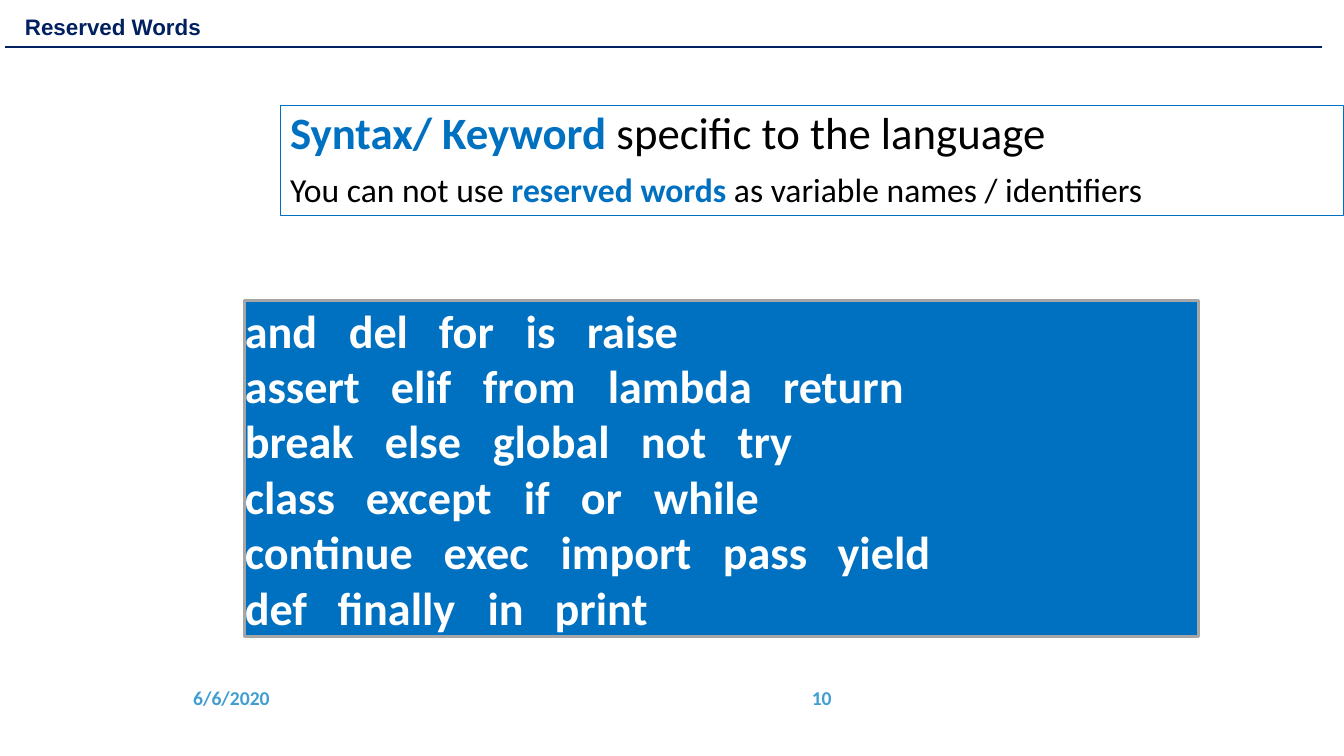
from dataclasses import dataclass

from lxml.etree import SubElement
from pptx import Presentation
from pptx.dml.color import RGBColor
from pptx.enum.shapes import MSO_CONNECTOR as Connector, MSO_SHAPE as Preset
from pptx.enum.text import MSO_ANCHOR as Anchor, PP_ALIGN as Align
from pptx.oxml.ns import qn
from pptx.util import Cm, Pt

BLUE, NAVY, SKY = "0070C0", "002060", "409ED2"
GREY, WHITE, BLACK = "A6A6A6", "FFFFFF", "000000"


@dataclass(frozen=True)
class Span:
    text: str
    color: str
    bold: bool = True


@dataclass(frozen=True)
class Line:
    spans: tuple[Span, ...]
    size: float
    font: str = "Calibri"
    align: Align = Align.LEFT
    spacing: float = 1.0
    before: float = 0
    stops: tuple[float, ...] = ()


@dataclass(frozen=True)
class Panel:
    left: float
    top: float
    width: float
    height: float
    lines: tuple[Line, ...]
    anchor: Anchor = Anchor.MIDDLE
    fill: str | None = None
    border: str | None = None
    border_width: float = 0
    margins: tuple[float, float] = (0.25, 0.13)


KEYWORDS = (
    ("and del for is raise", (2.62, 4.89, 7.08, 8.62)),
    ("assert elif from lambda return", (3.68, 6.0, 9.15, 13.56)),
    ("break else global not try", (3.53, 6.25, 9.98, 12.42)),
    ("class except if or while", (3.05, 7.03, 8.47, 10.31)),
    ("continue exec import pass yield", (5.01, 7.96, 12.05, 14.94)),
    ("def ﬁnally in print", (2.34, 6.12, 7.81)),
)

PANELS = (
    Panel(4.62, 17.07, 3.51, 1.02, (Line((Span("6/6/2020", SKY),), 14),)),
    Panel(13.51, 17.07, 7.7, 1.02, (Line((Span("10", SKY),), 14, align=Align.RIGHT),)),
    Panel(7.06, 2.67, 26.8, 2.77, (
        Line((Span("Syntax/ Keyword ", BLUE),
              Span("specific to the language", BLACK, False)), 32, spacing=0.9),
        Line((Span("You can not use ", BLACK, False),
              Span("reserved words ", BLUE),
              Span("as variable names / identifiers", BLACK, False)),
             24, spacing=0.9, before=10),
    ), anchor=Anchor.TOP, border=BLUE, border_width=0.75),
    Panel(6.17, 7.57, 24.03, 8.46, tuple(
        Line((Span("\t".join(words.split()), WHITE),), 33, stops=stops)
        for words, stops in KEYWORDS
    ), fill=BLUE, border=GREY, border_width=2.25, margins=(0, 0)),
    Panel(0.38, 0.25, 22.96, 0.89,
          (Line((Span("Reserved Words", NAVY),), 16, font="Arial", spacing=0.9),),
          anchor=Anchor.BOTTOM, fill=WHITE),
)


def rgb(value: str) -> RGBColor:
    return RGBColor.from_string(value)


def write_line(paragraph, line: Line) -> None:
    paragraph.alignment = line.align
    paragraph.line_spacing = line.spacing
    paragraph.space_before = Pt(line.before)
    if line.stops:
        tabs = SubElement(paragraph._p.get_or_add_pPr(), qn("a:tabLst"))
        for stop in line.stops:
            SubElement(tabs, qn("a:tab"), pos=str(Cm(stop)), algn="l")
    paragraph.font.name = line.font
    paragraph.font.size = Pt(line.size)
    uniform = len(line.spans) == 1
    for span in line.spans:
        run = paragraph.add_run()
        run.text = span.text
        font = paragraph.font if uniform else run.font
        font.bold = span.bold
        font.color.rgb = rgb(span.color)


def draw_panel(slide, panel: Panel) -> None:
    box = (Cm(panel.left), Cm(panel.top), Cm(panel.width), Cm(panel.height))
    if panel.fill or panel.border:
        shape = slide.shapes.add_shape(Preset.RECTANGLE, *box)
        shape.shadow.inherit = False
    else:
        shape = slide.shapes.add_textbox(*box)
    if panel.fill:
        shape.fill.solid()
        shape.fill.fore_color.rgb = rgb(panel.fill)
    else:
        shape.fill.background()
    if panel.border:
        shape.line.color.rgb = rgb(panel.border)
        shape.line.width = Pt(panel.border_width)
    else:
        shape.line.fill.background()

    frame = shape.text_frame
    frame.word_wrap = True
    frame.vertical_anchor = panel.anchor
    side, edge = panel.margins
    frame.margin_left = frame.margin_right = Cm(side)
    frame.margin_top = frame.margin_bottom = Cm(edge)
    for index, line in enumerate(panel.lines):
        write_line(frame.add_paragraph() if index else frame.paragraphs[0], line)


def draw_title_rule(slide) -> None:
    rule = slide.shapes.add_connector(
        Connector.STRAIGHT, Cm(0.13), Cm(1.19), Cm(33.32), Cm(1.19))
    rule.line.color.rgb = rgb(NAVY)
    rule.line.width = Pt(1.5)
    SubElement(rule._element.spPr, qn("a:effectLst"))


def main() -> None:
    deck = Presentation()
    deck.slide_width, deck.slide_height = Cm(33.87), Cm(19.05)
    slide = deck.slides.add_slide(deck.slide_layouts[6])
    for panel in PANELS:
        draw_panel(slide, panel)
    draw_title_rule(slide)
    deck.save("out.pptx")


if __name__ == "__main__":
    main()
